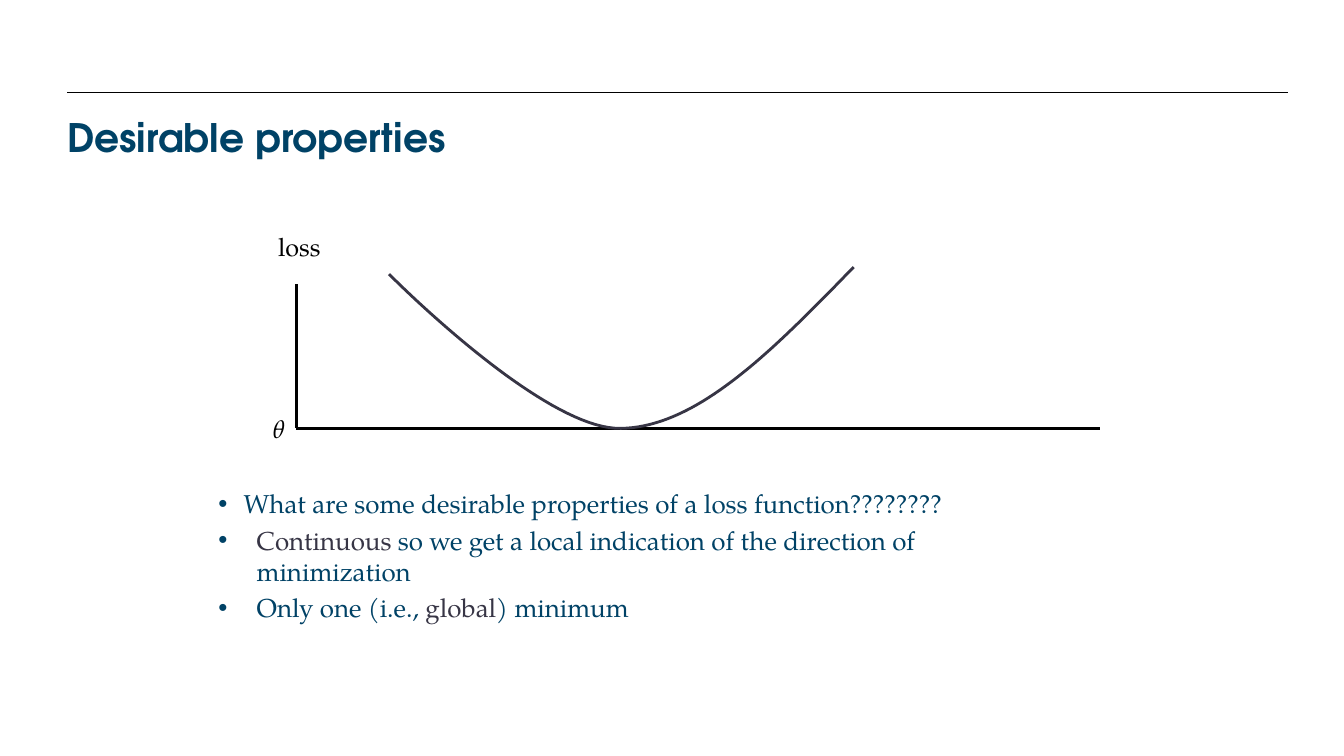
from lxml.etree import SubElement
from pptx import Presentation
from pptx.dml.color import RGBColor
from pptx.enum.text import MSO_ANCHOR, MSO_AUTO_SIZE, PP_ALIGN
from pptx.oxml.ns import qn
from pptx.util import Inches, Pt

WIDTH, HEIGHT = Inches(13.33), Inches(7.5)
COLUMNS, ROWS = 40, 30
NAVY = RGBColor(0x00, 0x42, 0x66)
PLUM = RGBColor(0x37, 0x35, 0x45)
BLACK = RGBColor(0x00, 0x00, 0x00)
HEADING_FONT, TEXT_FONT = "TeX Gyre Adventor", "TeX Gyre Pagella"
CURVE_STEPS = 40

# Axis corner and ends, in grid columns and rows
ORIGIN, AXIS_RIGHT, AXIS_TOP = (8.82, 17), (32.73, 17), (8.82, 11.28)
LOSS_CURVE = [
    [(25.41, 10.6), (23.1, 13.76), (20.79, 16.96), (18.48, 17)],
    [(18.48, 17), (16.17, 17.08), (11.58, 10.88), (11.58, 10.88)],
]
# Each bullet: hanging indent in inches, then its runs
BULLETS = [
    (0.25, [("What are some desirable properties of a loss function????????", NAVY)]),
    (0.38, [("Continuous", PLUM),
            (" so we get a local indication of the direction of minimization", NAVY)]),
    (0.38, [("Only one (i.e., ", NAVY), ("global", PLUM), (") minimum", NAVY)]),
]


def grid(column, row):
    """Turn grid columns and rows into slide lengths."""
    return round(column * WIDTH / COLUMNS), round(row * HEIGHT / ROWS)


def place(shape, column, row, columns, rows):
    shape.left, shape.top = grid(column, row)
    shape.width, shape.height = grid(columns, rows)


def add_run(paragraph, text, size, color, font=TEXT_FONT, bold=False, italic=False):
    run = paragraph.add_run()
    run.text = text
    run.font.name, run.font.size = font, Pt(size)
    run.font.bold, run.font.italic = bold, italic
    run.font.color.rgb = color


def clear_margins(frame):
    frame.margin_left = frame.margin_right = frame.margin_top = frame.margin_bottom = 0
    frame.auto_size = MSO_AUTO_SIZE.NONE
    frame.word_wrap = True


def add_line(shapes, start, end, weight):
    line = shapes.add_connector(1, *grid(*start), *grid(*end))
    line.line.color.rgb, line.line.width = BLACK, Pt(weight)
    SubElement(line._element.spPr, qn("a:effectLst"))


def add_label(shapes, text, column, row, columns, italic=False):
    label = shapes.add_textbox(*grid(column, row), *grid(columns, 1.6))
    label.text_frame.word_wrap = False
    label.text_frame.auto_size = MSO_AUTO_SIZE.SHAPE_TO_FIT_TEXT
    add_run(label.text_frame.paragraphs[0], text, 18, BLACK, italic=italic)


def bezier_point(controls, share):
    rest = 1 - share
    weights = (rest ** 3, 3 * rest ** 2 * share, 3 * rest * share ** 2, share ** 3)
    return grid(*(sum(w * value for w, value in zip(weights, axis))
                  for axis in zip(*controls)))


def add_curve(shapes, segments):
    points = [bezier_point(controls, step / CURVE_STEPS)
              for controls in segments for step in range(1, CURVE_STEPS + 1)]
    builder = shapes.build_freeform(*grid(*segments[0][0]))
    builder.add_line_segments(points, close=False)
    curve = builder.convert_to_shape()
    curve.shadow.inherit = False
    curve.fill.background()
    curve.line.color.rgb, curve.line.width = PLUM, Pt(2)


def fill_title(title):
    place(title, 2, 4.48, 36, 1.88)
    frame = title.text_frame
    clear_margins(frame)
    frame.vertical_anchor = MSO_ANCHOR.MIDDLE
    paragraph = frame.paragraphs[0]
    paragraph.alignment = PP_ALIGN.LEFT
    add_run(paragraph, "Desirable properties", 28, NAVY, HEADING_FONT, bold=True)


def set_bullet(paragraph, indent):
    properties = paragraph._p.get_or_add_pPr()
    properties.set("marL", str(Inches(indent)))
    properties.set("indent", str(-Inches(indent)))
    color = SubElement(properties, qn("a:buClr"))
    SubElement(color, qn("a:srgbClr"), val=str(NAVY))
    SubElement(properties, qn("a:buFont"), typeface="Arial")
    SubElement(properties, qn("a:buChar"), char="•")


def fill_bullets(body):
    place(body, 6.5, 19.36, 25, 7.44)
    frame = body.text_frame
    clear_margins(frame)
    for index, (indent, runs) in enumerate(BULLETS):
        paragraph = frame.add_paragraph() if index else frame.paragraphs[0]
        set_bullet(paragraph, indent)
        paragraph.space_before = Pt(3.7 if index else 0)
        for text, color in runs:
            add_run(paragraph, text, 18.5, color)


def add_loss_diagram(slide):
    shapes = slide.shapes.add_group_shape().shapes
    add_line(shapes, AXIS_RIGHT, ORIGIN, 2)
    add_line(shapes, AXIS_TOP, ORIGIN, 2)
    add_label(shapes, "loss", 7.98, 9, 1.89)
    add_curve(shapes, LOSS_CURVE)
    add_label(shapes, "θ", 7.8, 16.2, 1.02, italic=True)


def main():
    presentation = Presentation()
    presentation.slide_width, presentation.slide_height = WIDTH, HEIGHT
    slide = presentation.slides.add_slide(presentation.slide_layouts[1])
    add_line(slide.shapes, (2, 3.68), (38.34, 3.68), 0.75)
    fill_title(slide.shapes.title)
    fill_bullets(slide.placeholders[1])
    add_loss_diagram(slide)
    presentation.save("out.pptx")


if __name__ == "__main__":
    main()
